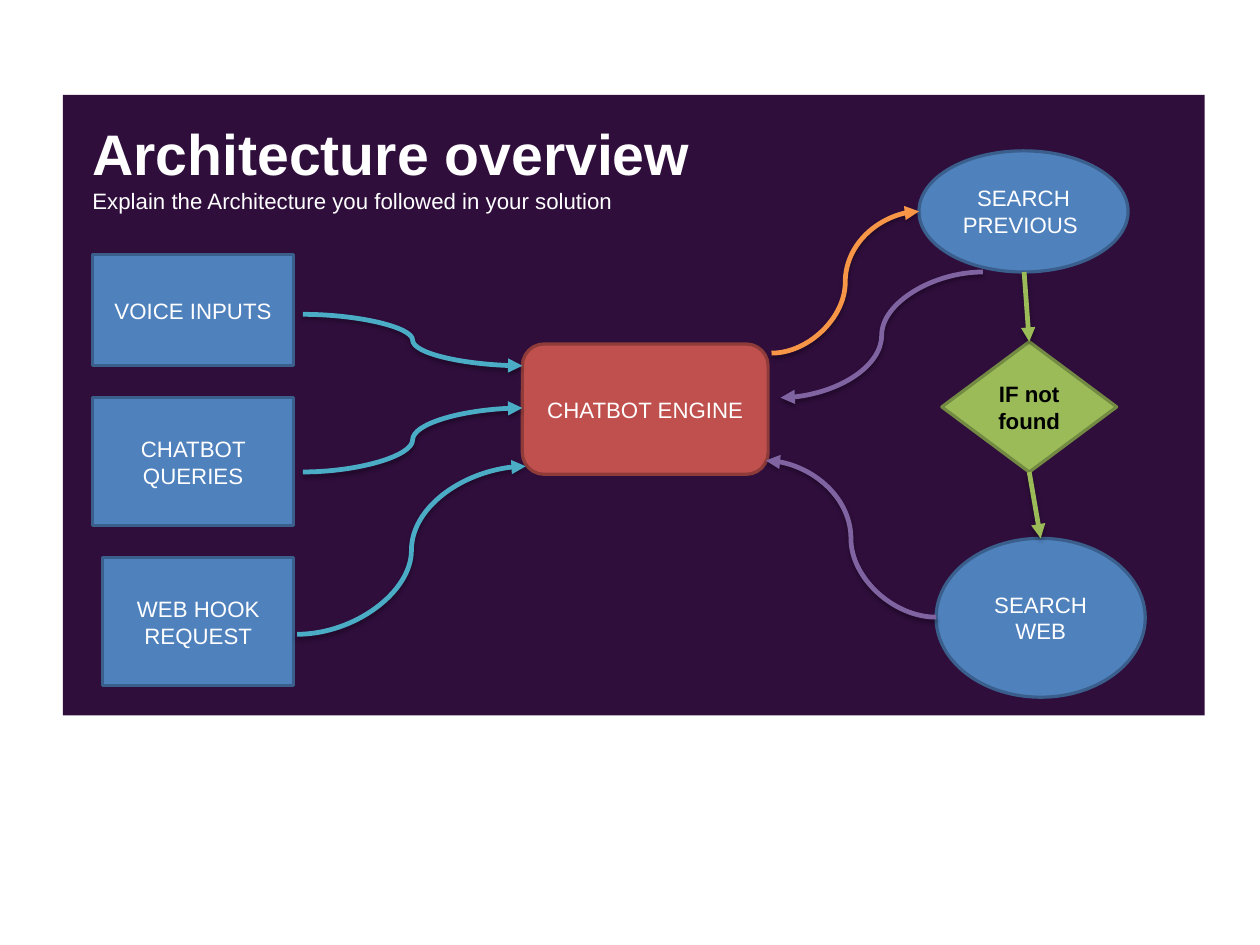
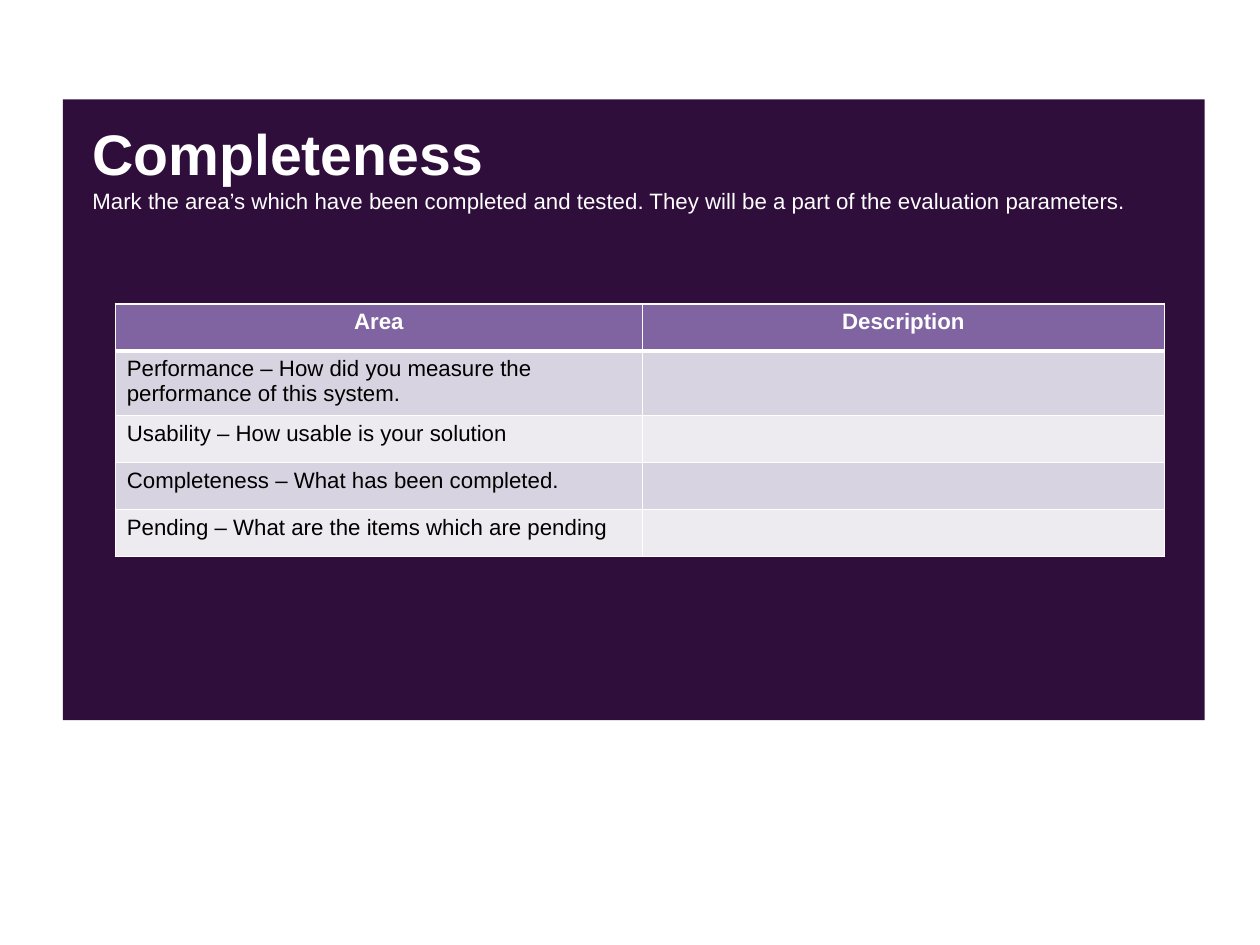
"""Build an architecture overview slide and a completeness table slide."""
from lxml import etree
from pptx import Presentation
from pptx.dml.color import RGBColor
from pptx.enum.shapes import MSO_CONNECTOR, MSO_SHAPE
from pptx.enum.text import MSO_ANCHOR, PP_ALIGN
from pptx.oxml import parse_xml
from pptx.oxml.ns import nsdecls, qn
from pptx.util import Inches, Pt

RECT, ROUNDED = MSO_SHAPE.RECTANGLE, MSO_SHAPE.ROUNDED_RECTANGLE
OVAL, DECISION = MSO_SHAPE.OVAL, MSO_SHAPE.FLOWCHART_DECISION
CURVE, STRAIGHT = MSO_CONNECTOR.CURVE, MSO_CONNECTOR.STRAIGHT
CENTER, LEFT, MIDDLE = PP_ALIGN.CENTER, PP_ALIGN.LEFT, MSO_ANCHOR.MIDDLE
TOP_SITE, BOTTOM_SITE = 0, 2
MM_PER_INCH = 25.4

PANEL, WHITE, BLACK = "2F0E3C", "FFFFFF", "000000"
BLUE, BLUE_EDGE = "4F81BD", "3A5F8C"
RED, RED_EDGE = "C0504D", "8E3B39"
GREEN, GREEN_EDGE = "9BBB59", "738A42"
TEAL, ORANGE, PURPLE = "4BACC6", "F79646", "8064A2"
BANDS = ["D8D3E0", "EDEAF0"]

BODY = {"name": "Arial", "size": Pt(14), "bold": False}
STRONG = {**BODY, "bold": True}
TITLE = {**STRONG, "size": Pt(36)}


def colour(fill, value):
    """Make a fill solid in the given hex colour."""
    fill.solid()
    fill.fore_color.rgb = RGBColor.from_string(value)


def write(para, text, style, value, align=LEFT):
    """Put one formatted span of text in a paragraph."""
    para.alignment = align
    span = para.add_run()
    span.text = text
    for name, setting in style.items():
        setattr(span.font, name, setting)
    colour(span.font.fill, value)


deck = Presentation()
deck.slide_width = Inches(280 / MM_PER_INCH)
deck.slide_height = Inches(210 / MM_PER_INCH)

headings = [
    (0.83, 8.49, 0.97, "Architecture overview",
     "Explain the Architecture you followed in your solution"),
    (0.87, 9.69, 0.91, "Completeness",
     "Mark the area’s which have been completed and tested. "
     "They will be a part of the evaluation parameters."),
]
for panel_top, width, height, title, subtitle in headings:
    slide = deck.slides.add_slide(deck.slide_layouts[6])
    panel = slide.shapes.add_shape(
        RECT, Inches(0.55), Inches(panel_top), Inches(9.99), Inches(5.43))
    panel.shadow.inherit = False
    colour(panel.fill, PANEL)
    panel.line.fill.background()
    box = slide.shapes.add_textbox(
        Inches(0.71), Inches(0.99), Inches(width), Inches(height))
    box.text_frame.word_wrap = True
    write(box.text_frame.paragraphs[0], title, TITLE, WHITE)
    write(box.text_frame.add_paragraph(), subtitle, BODY, WHITE)

overview, completeness = deck.slides

nodes = [
    ("CHATBOT ENGINE", ROUNDED, 4.57, 3.01, 2.15, 1.14, RED, RED_EDGE, BODY, WHITE),
    ("VOICE INPUTS", RECT, 0.81, 2.23, 1.76, 0.97, BLUE, BLUE_EDGE, BODY, WHITE),
    ("CHATBOT QUERIES", RECT, 0.81, 3.48, 1.76, 1.12, BLUE, BLUE_EDGE, BODY, WHITE),
    ("WEB HOOK REQUEST", RECT, 0.9, 4.88, 1.67, 1.12, BLUE, BLUE_EDGE, BODY, WHITE),
    ("SEARCH PREVIOUS ", OVAL, 8.04, 1.32, 1.83, 1.06, BLUE, BLUE_EDGE, BODY, WHITE),
    ("SEARCH WEB", OVAL, 8.19, 4.71, 1.83, 1.39, BLUE, BLUE_EDGE, BODY, WHITE),
    ("IF not found", DECISION, 8.24, 2.99, 1.53, 1.14, GREEN, GREEN_EDGE, STRONG, BLACK),
]
placed = {}
for text, kind, left, top, width, height, fill, edge, style, ink in nodes:
    node = overview.shapes.add_shape(
        kind, Inches(left), Inches(top), Inches(width), Inches(height))
    node.shadow.inherit = False
    colour(node.fill, fill)
    colour(node.line.fill, edge)
    node.line.width = Pt(2)
    node.text_frame.word_wrap = True
    node.text_frame.vertical_anchor = MIDDLE
    write(node.text_frame.paragraphs[0], text, style, ink, CENTER)
    placed[text] = node

arrows = [
    (CURVE, 2.65, 2.75, 4.57, 3.2, TEAL, None, None),
    (CURVE, 2.65, 4.13, 4.57, 3.57, TEAL, None, None),
    (CURVE, 2.6, 5.55, 4.6, 4.08, TEAL, None, None),
    (CURVE, 6.75, 3.09, 8.04, 1.85, ORANGE, None, None),
    (CURVE, 8.6, 2.38, 6.83, 3.48, PURPLE, None, None),
    (CURVE, 8.19, 5.4, 6.7, 4.03, PURPLE, None, None),
    (STRAIGHT, 8.96, 2.38, 9.01, 2.99, GREEN, None, "IF not found"),
    (STRAIGHT, 9.01, 4.12, 9.11, 4.71, GREEN, "IF not found", "SEARCH WEB"),
]
for kind, x1, y1, x2, y2, value, source, target in arrows:
    arrow = overview.shapes.add_connector(
        kind, Inches(x1), Inches(y1), Inches(x2), Inches(y2))
    if source:
        arrow.begin_connect(placed[source], BOTTOM_SITE)
    if target:
        arrow.end_connect(placed[target], TOP_SITE)
    colour(arrow.line.fill, value)
    arrow.line.width = Pt(3)
    etree.SubElement(arrow.line._get_or_add_ln(), qn("a:tailEnd"), type="triangle")
    arrow._element.spPr.append(parse_xml(
        f'<a:effectLst {nsdecls("a")}><a:outerShdw blurRad="{Pt(3.1)}" '
        f'dist="{Pt(1.8)}" dir="5400000" rotWithShape="0"><a:srgbClr val="{BLACK}">'
        '<a:alpha val="35000"/></a:srgbClr></a:outerShdw></a:effectLst>'))

rows = [
    ("Area", "Description"),
    ("Performance – How did you measure the performance of this system.", ""),
    ("Usability – How usable is your solution", ""),
    ("Completeness – What has been completed.", ""),
    ("Pending – What are the items which are pending", ""),
]
header_borders = {"lnL": 1, "lnR": 1, "lnT": 1, "lnB": 3}
row_height = 0.41
table = completeness.shapes.add_table(
    len(rows), 2, Inches(1.01), Inches(2.66),
    Inches(9.18), Inches(row_height * len(rows))).table
for column, width in zip(table.columns, (4.61, 4.57)):
    column.width = Inches(width)
for r, texts in enumerate(rows):
    table.rows[r].height = Inches(row_height)
    header = r == 0
    for c, text in enumerate(texts):
        cell = table.cell(r, c)
        if text:
            write(cell.text_frame.paragraphs[0], text, STRONG if header else BODY,
                  WHITE if header else BLACK, CENTER if header else LEFT)
        if header:
            for side, points in header_borders.items():
                cell._tc.get_or_add_tcPr().append(parse_xml(
                    f'<a:{side} {nsdecls("a")} w="{Pt(points)}"><a:solidFill>'
                    f'<a:srgbClr val="{WHITE}"/></a:solidFill></a:{side}>'))
        colour(cell.fill, PURPLE if header else BANDS[(r - 1) % 2])

deck.save("out.pptx")
